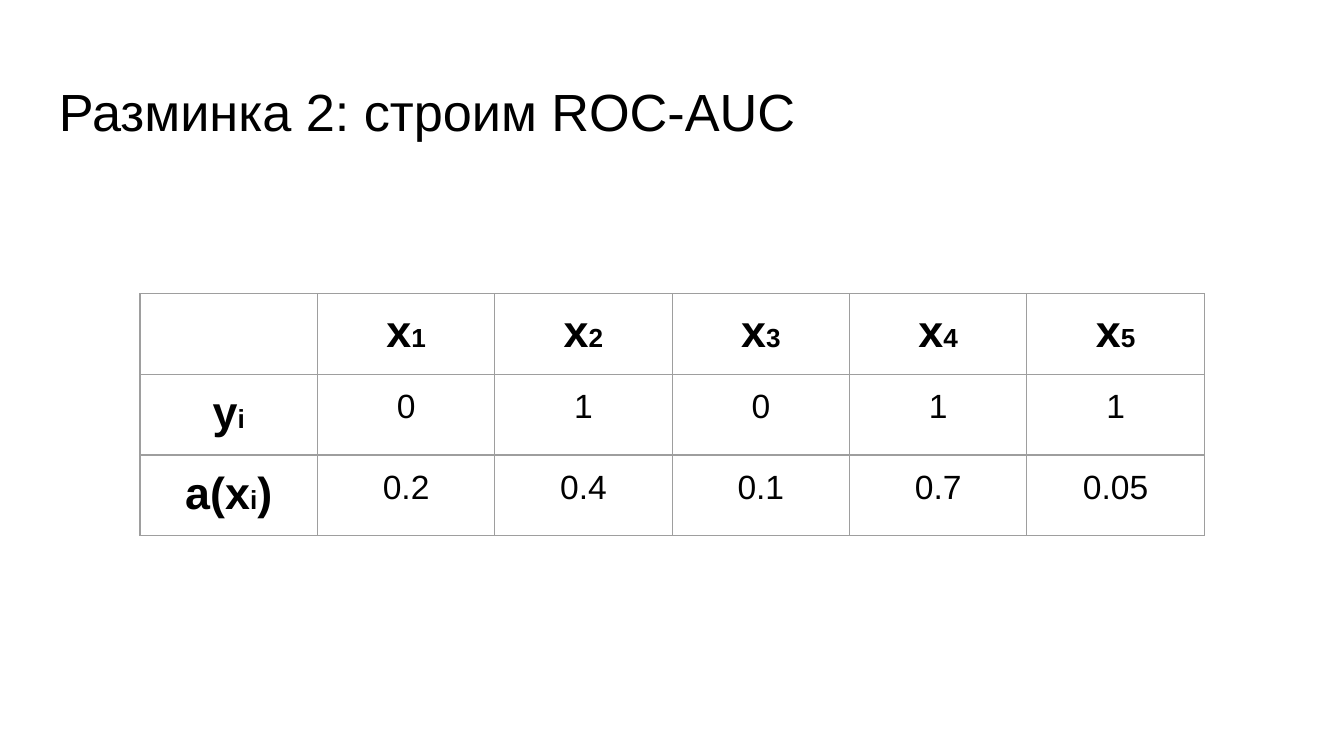
from dataclasses import dataclass

from lxml import etree
from pptx import Presentation
from pptx.dml.color import RGBColor
from pptx.enum.text import MSO_ANCHOR, PP_ALIGN
from pptx.oxml.ns import qn
from pptx.util import Inches, Pt

CENTER = PP_ALIGN.CENTER
TOP = MSO_ANCHOR.TOP
BLANK_LAYOUT = 6


@dataclass(frozen=True)
class Theme:
    font: str = "Arial"
    text: str = "000000"
    background: str = "FFFFFF"
    border: str = "9E9E9E"
    border_width: float = 0.75
    title_size: int = 28
    symbol_size: int = 24
    value_size: int = 18
    index_size: int = 14
    inset: float = 0.1


class SlideBuilder:
    """Holds the theme and the current slide; lengths are percent of the slide."""

    def __init__(self, presentation, theme):
        self.theme = theme
        self.width = presentation.slide_width
        self.height = presentation.slide_height
        self.slide = presentation.slides.add_slide(presentation.slide_layouts[BLANK_LAYOUT])
        fill = self.slide.background.fill
        fill.solid()
        fill.fore_color.rgb = RGBColor.from_string(theme.background)

    def box(self, left, top, width, height):
        return (int(left * self.width / 100), int(top * self.height / 100),
                int(width * self.width / 100), int(height * self.height / 100))

    def set_insets(self, holder):
        holder.margin_left = holder.margin_right = Inches(self.theme.inset)
        holder.margin_top = holder.margin_bottom = Inches(self.theme.inset)

    def run(self, paragraph, text, size, bold=False):
        run = paragraph.add_run()
        run.text = text
        run.font.name = self.theme.font
        run.font.size = Pt(size)
        run.font.bold = bold
        run.font.color.rgb = RGBColor.from_string(self.theme.text)

    def title(self, text, *place):
        frame = self.slide.shapes.add_textbox(*self.box(*place)).text_frame
        frame.word_wrap = True
        frame.vertical_anchor = TOP
        self.set_insets(frame)
        self.run(frame.paragraphs[0], text, self.theme.title_size)

    def borders(self, cell):
        properties = cell._tc.get_or_add_tcPr()
        for position, side in enumerate(("a:lnL", "a:lnR", "a:lnT", "a:lnB")):
            line = etree.Element(qn(side), w=str(Pt(self.theme.border_width)))
            fill = etree.SubElement(line, qn("a:solidFill"))
            etree.SubElement(fill, qn("a:srgbClr"), val=self.theme.border)
            properties.insert(position, line)

    def table(self, rows, *place):
        """Each cell is a list of (text, size, bold) runs; rows grow to fit their text."""
        table = self.slide.shapes.add_table(
            len(rows), len(rows[0]), *self.box(*place)).table
        table.first_row = table.horz_banding = False
        for row_index, row in enumerate(rows):
            for column_index, runs in enumerate(row):
                cell = table.cell(row_index, column_index)
                cell.fill.background()
                self.set_insets(cell)
                self.borders(cell)
                paragraph = cell.text_frame.paragraphs[0]
                paragraph.alignment = CENTER
                for text, size, bold in runs:
                    self.run(paragraph, text, size, bold)


def symbol(theme, base, index, tail=""):
    """Bold name with a small index and an optional closing part."""
    parts = ((base, theme.symbol_size), (index, theme.index_size), (tail, theme.symbol_size))
    return [(text, size, True) for text, size in parts if text]


def main():
    presentation = Presentation()
    presentation.slide_width = Inches(10)
    presentation.slide_height = presentation.slide_width * 9 // 16
    theme = Theme()
    builder = SlideBuilder(presentation, theme)

    labels = ("0", "1", "0", "1", "1")
    scores = ("0.2", "0.4", "0.1", "0.7", "0.05")

    def values(texts):
        return [[(text, theme.value_size, False)] for text in texts]

    header = [symbol(theme, "x", str(number)) for number in range(1, len(labels) + 1)]
    rows = [
        [[], *header],
        [symbol(theme, "y", "i"), *values(labels)],
        [symbol(theme, "a(x", "i", ")"), *values(scores)],
    ]

    builder.title("Разминка 2: строим ROC-AUC", 3.4, 8.65, 93.2, 11.2)
    builder.table(rows, 10.42, 38.85, 79.2, 22.4)
    presentation.save("out.pptx")


if __name__ == "__main__":
    main()
